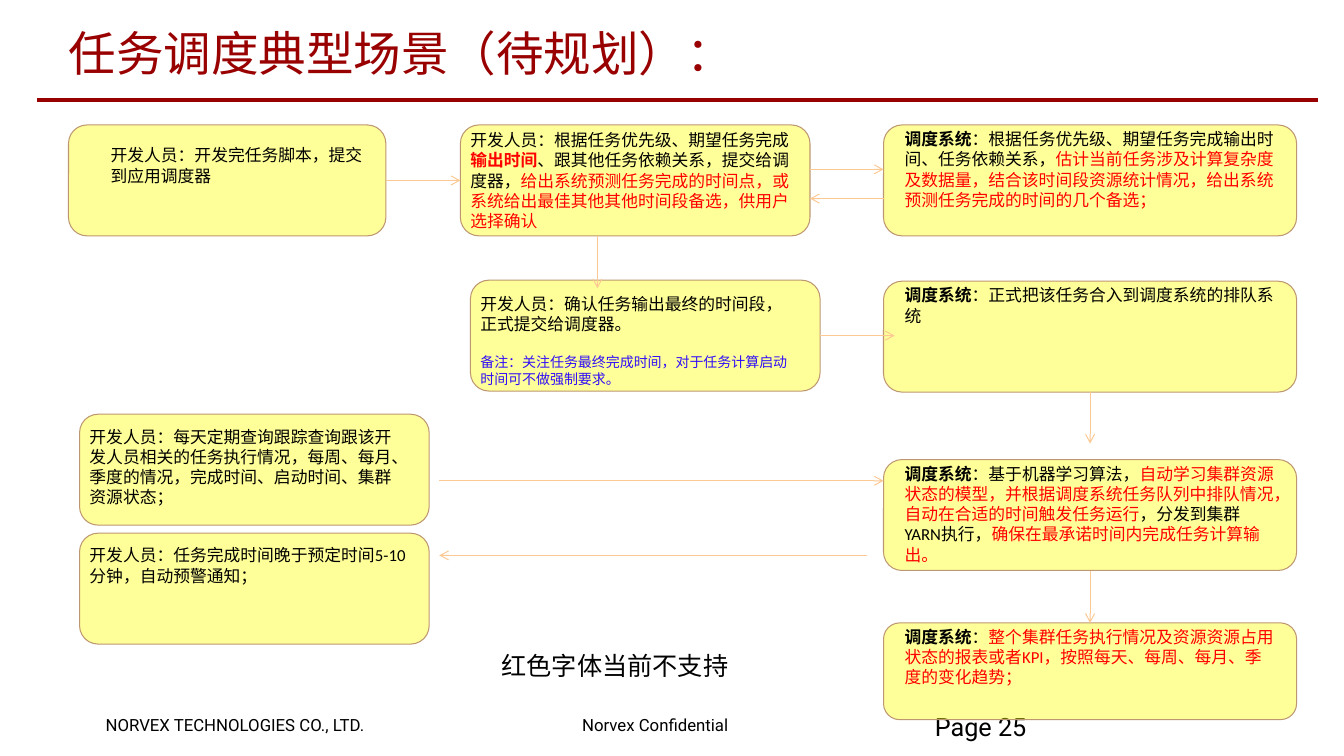
from lxml import etree
from pptx import Presentation
from pptx.dml.color import RGBColor
from pptx.enum.shapes import MSO_CONNECTOR, MSO_SHAPE
from pptx.enum.text import MSO_ANCHOR, MSO_AUTO_SIZE, PP_ALIGN
from pptx.oxml.ns import qn
from pptx.util import Inches, Pt

DARK_RED = RGBColor(0x99, 0x00, 0x00)
BLACK = RGBColor(0x00, 0x00, 0x00)
RED = RGBColor(0xFF, 0x00, 0x00)
BLUE = RGBColor(0x30, 0x0F, 0xF7)
YELLOW = RGBColor(0xFF, 0xFF, 0x00)
BROWN = RGBColor(0xBD, 0x97, 0x71)
ORANGE = RGBColor(0xFC, 0xC8, 0x93)

# Column edges, box sizes and the gap between a system box and its text
DEV_X, SYS_X = 0.79, 8.77
DEV_W, SYS_W, BOX_H = 3.47, 4.1, 1.1
SYSTEM = ("调度系统", {"bold": True})


def add_run(p, text, size=12, font="Calibri", color=BLACK, bold=False):
    r = p.add_run()
    r.text = text
    r.font.size, r.font.name, r.font.bold = Pt(size), font, bold
    r.font.color.rgb = color


def add_text(s, x, y, w, h, paragraphs, inset=0.1, line_spacing=None, gap=0):
    """Each paragraph is a list of (text, run format) pairs."""
    sp = s.shapes.add_textbox(Inches(x), Inches(y), Inches(w), Inches(h))
    tf = sp.text_frame
    tf.word_wrap = True
    tf.margin_left = tf.margin_right = Inches(inset)
    tf.margin_top = tf.margin_bottom = Inches(inset / 2)
    for i, runs in enumerate(paragraphs):
        p = tf.add_paragraph() if i else tf.paragraphs[0]
        if i:
            p.space_before = Pt(gap)
        if line_spacing:
            p.line_spacing = line_spacing
        for text, fmt in runs:
            add_run(p, text, **fmt)


def add_line(s, start, end, color=ORANGE, width=0.75, arrow=True, source=None, target=None):
    """source and target are (shape, side) pairs that the line is joined to."""
    cx = s.shapes.add_connector(MSO_CONNECTOR.STRAIGHT, *map(Inches, start + end))
    cx.line.color.rgb = color
    cx.line.width = Pt(width)
    if arrow:
        etree.SubElement(cx.line._get_or_add_ln(), qn("a:tailEnd"), type="arrow")
    etree.SubElement(cx._element.spPr, qn("a:effectLst"))
    if source:
        cx.begin_connect(*source)
    if target:
        cx.end_connect(*target)


def add_step(s, x, y, w, h, paragraphs, dx=0.0, dy=0.07, text_w=3.36, gap=0):
    sp = s.shapes.add_shape(MSO_SHAPE.ROUNDED_RECTANGLE, Inches(x), Inches(y), Inches(w), Inches(h))
    sp.shadow.inherit = False
    sp.fill.solid()
    sp.fill.fore_color.rgb = YELLOW
    etree.SubElement(sp._element.spPr.find(".//" + qn("a:srgbClr")), qn("a:alpha"), val="40000")
    sp.line.color.rgb = BROWN
    sp.line.width = Pt(0.75)
    add_text(s, x + dx, y + dy, text_w, h - dy, paragraphs, gap=gap)
    return sp


def add_system_step(s, y, runs, h=BOX_H):
    return add_step(s, SYS_X, y, SYS_W, h, [[SYSTEM] + runs], dx=0.11, dy=-0.01, text_w=3.89)


def add_header(s, x, y, w, h):
    title = s.shapes.title
    title.left, title.top, title.width, title.height = map(Inches, (x, y, w, h))
    tf = title.text_frame
    tf.auto_size = MSO_AUTO_SIZE.NONE
    tf.vertical_anchor = MSO_ANCHOR.MIDDLE
    p = tf.paragraphs[0]
    p.alignment = PP_ALIGN.LEFT
    add_run(p, "任务调度典型场景（待规划）：", size=34, font="Roboto", color=DARK_RED)
    rule_y = y + h - 0.01
    add_line(s, (0.37, rule_y), (13.08, rule_y), color=DARK_RED, width=3, arrow=False)


def add_footer(s, x, y):
    fmt = {"font": "Roboto"}
    add_text(s, x, y, 2.86, 0.29, [[("NORVEX TECHNOLOGIES CO., LTD.", fmt)]])
    add_text(s, x + 4.73, y, 1.8, 0.29, [[("Norvex Confidential", fmt)]])
    add_text(s, x + 8.33, y + 0.06, 3.06, 0.4, [[("Page 25", {"font": "Roboto", "size": 18})]],
             inset=0, line_spacing=0.85)


def add_submission(s, y):
    """Top two rows: submitting a task and confirming its time slot."""
    red = {"color": RED}
    script = add_step(s, 0.68, y, 3.15, BOX_H, [[("开发人员：开发完任务脚本，提交到应用调度器", {})]],
                      dx=0.32, dy=0.15, text_w=2.73)
    request = add_step(s, 4.57, y, DEV_W, BOX_H, [[
        ("开发人员：根据任务优先级、期望任务完成", {}),
        ("输出时间", {"color": RED, "bold": True}),
        ("、跟其他任务依赖关系，提交给调度器，", {}),
        ("给出系统预测任务完成的时间点，或系统给出最佳其他其他时间段备选，供用户选择确认", red),
    ]], dy=0, text_w=DEV_W)
    add_system_step(s, y, [
        ("：根据任务优先级、期望任务完成输出时间、任务依赖关系，", {}),
        ("估计当前任务涉及计算复杂度及数据量，结合该时间段资源统计情况，给出系统预测任务完成的时间的几个备选；", red),
    ])

    row2 = y + 1.54
    confirm = add_step(s, 4.67, row2, DEV_W, BOX_H, [
        [("开发人员：确认任务输出最终的时间段，正式提交给调度器。", {})],
        [("备注：关注任务最终完成时间，对于任务计算启动时间可不做强制要求。", {"size": 10, "color": BLUE})],
    ], dy=0.08, gap=14.5)
    queue = add_system_step(s, row2 + 0.01, [("：正式把该任务合入到调度系统的排队系统", {})])

    mid1, mid2 = y + BOX_H / 2, row2 + BOX_H / 2
    add_line(s, (3.83, mid1), (4.57, mid1), source=(script, 3), target=(request, 1))
    add_line(s, (8.04, y + 0.44), (SYS_X, y + 0.44))
    add_line(s, (SYS_X, y + 0.73), (8.04, y + 0.73))
    add_line(s, (5.93, y + BOX_H), (5.93, row2 + 0.08))
    add_line(s, (8.14, mid2), (8.88, mid2), source=(confirm, 3))
    center = SYS_X + SYS_W / 2
    add_line(s, (center, row2 + 1.11), (center, row2 + 1.62), source=(queue, 2))


def add_monitoring(s, y):
    """Bottom rows: tracking, warnings, execution and reports."""
    red = {"color": RED}
    add_step(s, DEV_X, y, DEV_W, BOX_H, [[
        ("开发人员：每天定期查询跟踪查询跟该开发人员相关的任务执行情况，每周、每月、季度的情况，完成时间、启动时间、集群资源状态；", {})]])
    add_step(s, DEV_X, y + 1.18, DEV_W, BOX_H, [[
        ("开发人员：任务完成时间晚于预定时间5-10分钟，自动预警通知；", {})]])
    execute = add_system_step(s, y + 0.45, [
        ("：基于机器学习算法，", {}),
        ("自动学习集群资源状态的模型，并根据调度系统任务队列中排队情况，自动在合适的时间触发任务运行", red),
        ("，分发到集群YARN执行，", {}),
        ("确保在最承诺时间内完成任务计算输出。", red),
    ])
    report = add_system_step(s, y + 2.07, [
        ("：", {}),
        ("整个集群任务执行情况及资源资源占用状态的报表或者KPI，按照每天、每周、每月、季度的变化趋势；", red),
    ], h=0.96)
    add_text(s, 4.88, y + 2.29, 2.6, 0.38, [[("红色字体当前不支持", {"size": 18})]])

    add_line(s, (4.36, y + 0.66), (SYS_X, y + 0.66))
    add_line(s, (8.61, y + 1.4), (4.36, y + 1.4))
    center = SYS_X + SYS_W / 2
    add_line(s, (center, y + 1.55), (center, y + 2.07), source=(execute, 2), target=(report, 0))


def main():
    prs = Presentation()
    prs.slide_width, prs.slide_height = Inches(13.34), Inches(7.5)
    s = prs.slides.add_slide(prs.slide_layouts[5])
    add_header(s, 0.58, 0.05, 11.3, 0.95)
    add_footer(s, 0.95, 7.04)
    add_submission(s, 1.24)
    add_monitoring(s, 4.11)
    prs.save("out.pptx")


if __name__ == "__main__":
    main()
